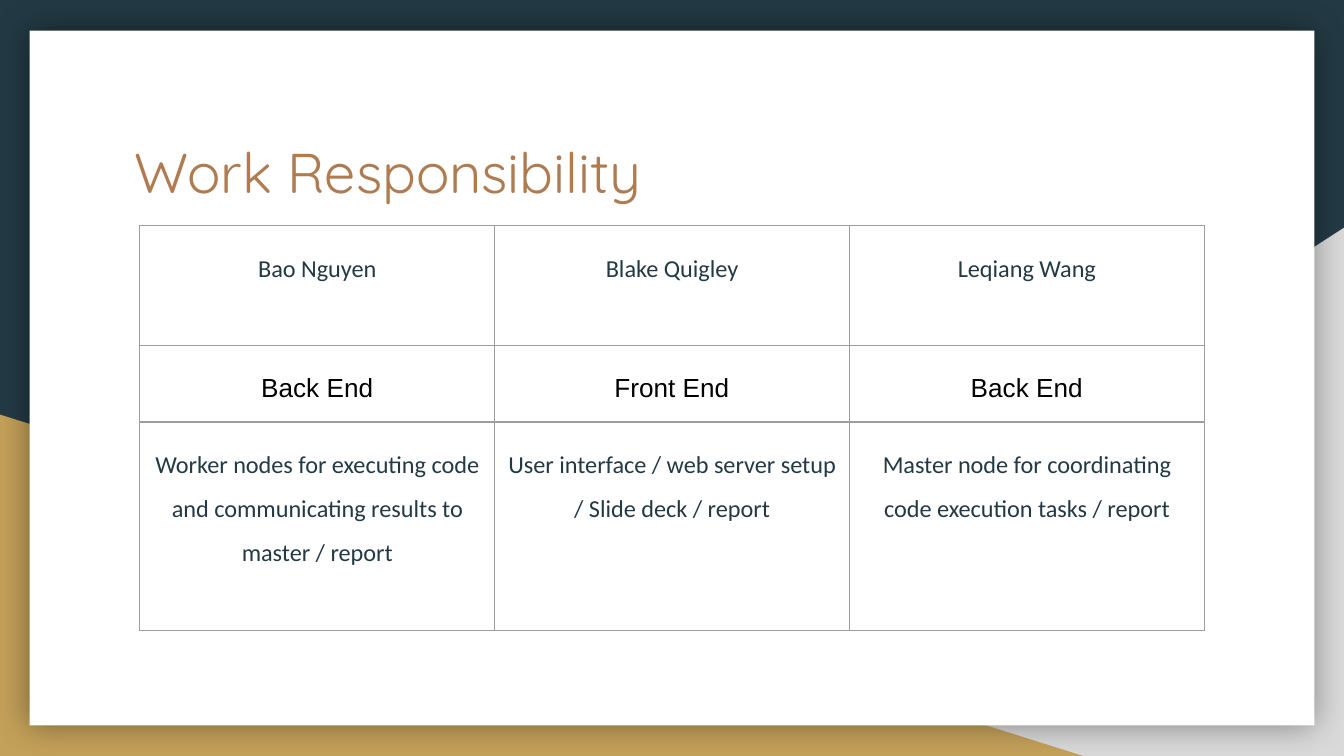
from dataclasses import dataclass

import pptx
import pptx.dml.color
import pptx.enum.shapes
import pptx.enum.text
import pptx.oxml
import pptx.oxml.ns
import pptx.util

Inches = pptx.util.Inches
Pt = pptx.util.Pt
SHAPE = pptx.enum.shapes.MSO_SHAPE
ALIGN = pptx.enum.text.PP_ALIGN
ANCHOR = pptx.enum.text.MSO_ANCHOR
NS = pptx.oxml.ns.nsdecls("a")


@dataclass(frozen=True)
class TextStyle:
    font: str
    size: float
    color: str


@dataclass(frozen=True)
class Theme:
    navy: str = "233A44"
    gold: str = "C4A15A"
    gray: str = "D9D9D9"
    white: str = "FFFFFF"
    shadow: str = "000000"
    border: str = "9E9E9E"
    border_width: float = 0.75
    title: TextStyle = TextStyle("Quicksand", 30, "AF7B51")
    body: TextStyle = TextStyle("Calibri", 13, "233A44")
    role: TextStyle = TextStyle("Arial", 14, "000000")


THEME = Theme()
SLIDE_W = 10
SLIDE_H = SLIDE_W * 9 / 16
INSET = 0.1

# Each row: height, text style, space after, cell texts
ROWS = [
    (0.89, THEME.body, 16, ["Bao Nguyen", "Blake Quigley", "Leqiang Wang"]),
    (0.57, THEME.role, 0, ["Back End", "Front End", "Back End"]),
    (1.55, THEME.body, 16, [
        "Worker nodes for executing code and communicating results to master / report",
        "User interface / web server setup / Slide deck / report",
        "Master node for coordinating code execution tasks / report",
    ]),
]


def rgb(color):
    return pptx.dml.color.RGBColor.from_string(color)


def add_run(p, text, style):
    r = p.add_run()
    r.text = text
    r.font.name = style.font
    r.font.size = Pt(style.size)
    r.font.bold = False
    r.font.color.rgb = rgb(style.color)


def set_insets(box):
    """Give a text frame or table cell the same inset on all sides."""
    box.margin_left = box.margin_right = Inches(INSET)
    box.margin_top = box.margin_bottom = Inches(INSET)


def add_block(slide, kind, box, color):
    sp = slide.shapes.add_shape(kind, *map(Inches, box))
    sp.shadow.inherit = False
    sp.fill.solid()
    sp.fill.fore_color.rgb = rgb(color)
    sp.line.fill.background()
    return sp


def add_glow(sp, blur, alpha):
    """Add a soft shadow spreading evenly around a shape."""
    effects = sp._element.spPr.find(pptx.oxml.ns.qn("a:effectLst"))
    effects.append(pptx.oxml.parse_xml(
        f'<a:outerShdw {NS} blurRad="{Pt(blur)}" dist="0" dir="0" algn="ctr" rotWithShape="0">'
        f'<a:srgbClr val="{THEME.shadow}"><a:alpha val="{alpha * 1000}"/></a:srgbClr>'
        "</a:outerShdw>"))


def add_backdrop(slide, width, height):
    """Fill the slide, with a triangle in each lower corner and a card on top."""
    fill = slide.background.fill
    fill.solid()
    fill.fore_color.rgb = rgb(THEME.navy)

    w, h = 6.08, 3.93
    right = add_block(slide, SHAPE.RIGHT_TRIANGLE, (width - w, height - h, w, h), THEME.gray)
    right._element.spPr.xfrm.set("flipH", "1")
    w, h = 8.06, 2.54
    add_block(slide, SHAPE.RIGHT_TRIANGLE, (0, height - h, w, h), THEME.gold)

    w, h = 9.56, 5.17
    card = add_block(slide, SHAPE.RECTANGLE,
                     ((width - w) / 2, (height - h) / 2, w, h), THEME.white)
    add_glow(card, blur=18, alpha=40)


def place_title(slide, box, text):
    title = slide.shapes.title
    title.left, title.top, title.width, title.height = map(Inches, box)
    tf = title.text_frame
    tf.word_wrap = True
    tf.auto_size = pptx.enum.text.MSO_AUTO_SIZE.NONE
    tf.vertical_anchor = ANCHOR.TOP
    set_insets(tf)
    p = tf.paragraphs[0]
    p.alignment = ALIGN.LEFT
    p.line_spacing = 1.0
    p.space_before = Pt(0)
    add_run(p, text, THEME.title)


def set_borders(cell):
    tc_pr = cell._tc.get_or_add_tcPr()
    for i, side in enumerate("LRTB"):
        tc_pr.insert(i, pptx.oxml.parse_xml(
            f'<a:ln{side} {NS} w="{Pt(THEME.border_width)}"><a:solidFill>'
            f'<a:srgbClr val="{THEME.border}"/></a:solidFill></a:ln{side}>'))


def fill_cell(cell, text, style, space_after):
    cell.fill.background()
    set_borders(cell)
    set_insets(cell)
    cell.vertical_anchor = ANCHOR.TOP
    p = cell.text_frame.paragraphs[0]
    p.alignment = ALIGN.CENTER
    p.line_spacing = 1.5
    p.space_after = Pt(space_after)
    add_run(p, text, style)


def add_duty_table(slide, left, top, width, rows):
    cols = len(rows[0][3])
    height = sum(row[0] for row in rows)
    frame = slide.shapes.add_table(len(rows), cols, *map(Inches, (left, top, width, height)))
    table = frame.table
    table.first_row = table.horz_banding = False
    for column in table.columns:
        column.width = Inches(width / cols)
    for i, (row_height, style, space_after, texts) in enumerate(rows):
        table.rows[i].height = Inches(row_height)
        for j, text in enumerate(texts):
            fill_cell(table.cell(i, j), text, style, space_after)


def main():
    prs = pptx.Presentation()
    prs.slide_width, prs.slide_height = Inches(SLIDE_W), Inches(SLIDE_H)
    slide = prs.slides.add_slide(prs.slide_layouts[5])
    add_backdrop(slide, SLIDE_W, SLIDE_H)
    # Bring the title in front of the backdrop
    slide.shapes._spTree.append(slide.shapes.title._element)
    place_title(slide, (0.9, 0.92, 8.21, 0.77), "Work Responsibility")
    add_duty_table(slide, 1.04, 1.68, 7.92, ROWS)
    prs.save("out.pptx")


if __name__ == "__main__":
    main()
